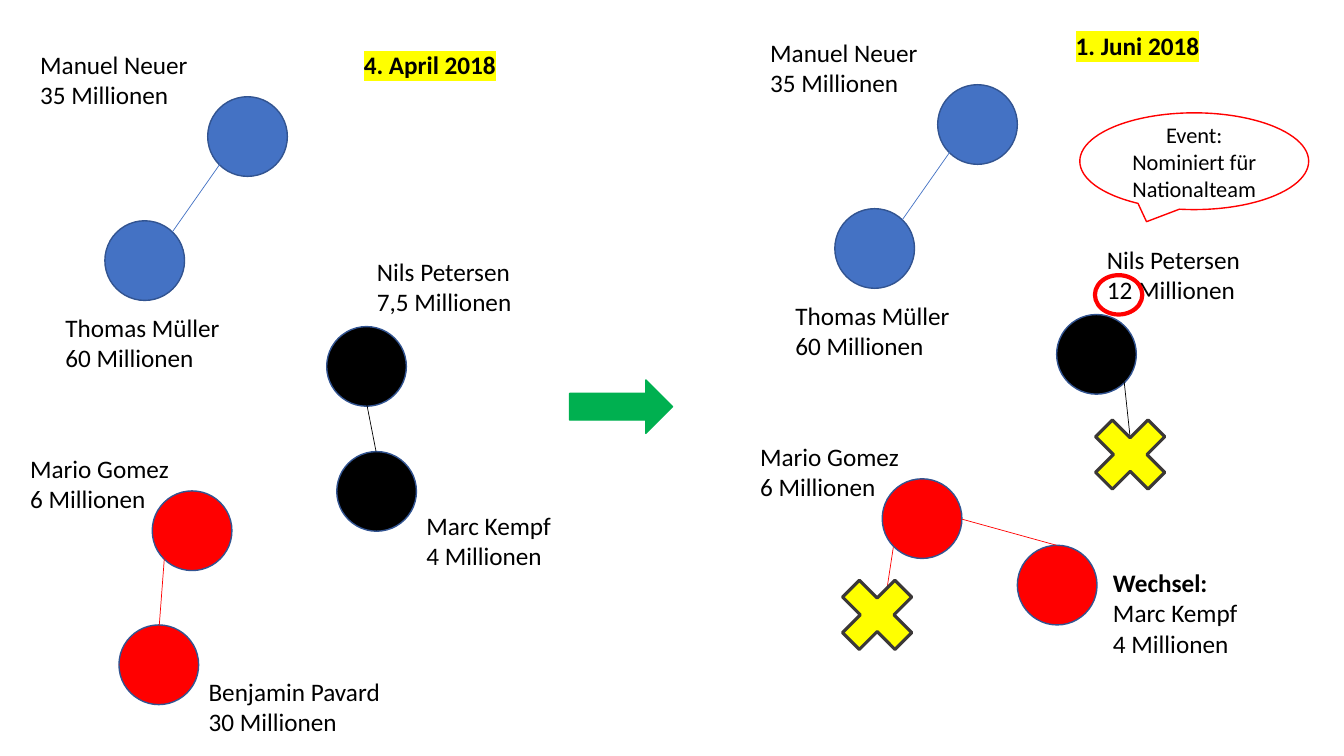
import pptx
import pptx.util
import pptx.dml.color
import pptx.enum.shapes
import pptx.enum.text
import lxml.etree
from dataclasses import dataclass

Inches = pptx.util.Inches
Shape = pptx.enum.shapes.MSO_SHAPE
DRAWING = "{http://schemas.openxmlformats.org/drawingml/2006/main}"


@dataclass(frozen=True)
class Theme:
    font: str = "Calibri"
    label_size: int = 18
    callout_size: int = 16
    blue: str = "4472C4"
    outline: str = "325491"
    red: str = "FF0000"
    black: str = "000000"
    yellow: str = "FFFF00"
    green: str = "00B050"
    gray: str = "3B3838"
    player: float = 0.79


def rgb(value):
    return pptx.dml.color.RGBColor.from_string(value)


def write(frame, lines, theme, size, bold_lines=0, highlight=None, align=None):
    for index, line in enumerate(lines):
        para = frame.paragraphs[0] if index == 0 else frame.add_paragraph()
        para.alignment = align
        span = para.add_run()
        span.text = line
        span.font.name = theme.font
        span.font.size = pptx.util.Pt(size)
        span.font.bold = index < bold_lines
        span.font.color.rgb = rgb(theme.black)
        if highlight:
            mark = lxml.etree.Element(DRAWING + "highlight")
            lxml.etree.SubElement(mark, DRAWING + "srgbClr", val=highlight)
            span.font._element.find(DRAWING + "solidFill").addnext(mark)


class Sketch:
    def __init__(self, page, theme):
        self.page = page
        self.theme = theme

    def shape(self, kind, left, top, width, height, fill, line, weight=1):
        box = self.page.shapes.add_shape(
            kind, Inches(left), Inches(top), Inches(width), Inches(height))
        box.shadow.inherit = False
        if fill:
            box.fill.solid()
            box.fill.fore_color.rgb = rgb(fill)
        else:
            box.fill.background()
        box.line.color.rgb = rgb(line)
        box.line.width = pptx.util.Pt(weight)
        return box

    def player(self, left, top, color):
        size = self.theme.player
        self.shape(Shape.FLOWCHART_CONNECTOR, left, top, size, size,
                   color, self.theme.outline)

    def cross(self, left, top):
        self.shape(Shape.MATH_MULTIPLY, left, top, 1, 1,
                   self.theme.yellow, self.theme.gray, 2.25)

    def link(self, x1, y1, x2, y2, color):
        line = self.page.shapes.add_connector(
            pptx.enum.shapes.MSO_CONNECTOR.STRAIGHT,
            Inches(x1), Inches(y1), Inches(x2), Inches(y2))
        line.line.color.rgb = rgb(color)
        line.line.width = pptx.util.Pt(0.5)
        lxml.etree.SubElement(line._element.spPr, DRAWING + "effectLst")

    def label(self, left, top, width, *lines, **style):
        height = 0.1 + 0.3 * len(lines)
        box = self.page.shapes.add_textbox(
            Inches(left), Inches(top), Inches(width), Inches(height))
        box.text_frame.word_wrap = False
        box.text_frame.auto_size = pptx.enum.text.MSO_AUTO_SIZE.SHAPE_TO_FIT_TEXT
        write(box.text_frame, lines, self.theme, self.theme.label_size, **style)

    def date(self, left, top, width, text):
        self.label(left, top, width, text, bold_lines=1, highlight=self.theme.yellow)

    def callout(self, left, top, width, height, text):
        box = self.shape(Shape.OVAL_CALLOUT, left, top, width, height,
                         None, self.theme.red)
        box.text_frame.word_wrap = True
        box.text_frame.vertical_anchor = pptx.enum.text.MSO_ANCHOR.MIDDLE
        write(box.text_frame, [text], self.theme, self.theme.callout_size,
              align=pptx.enum.text.PP_ALIGN.CENTER)

    def lasting_players(self, dx, dy, petersen_value):
        theme = self.theme
        for left, top, color in [
            (1.04, 2.19, theme.blue),
            (2.06, 0.96, theme.blue),
            (1.51, 4.87, theme.red),
            (3.24, 3.24, theme.black),
        ]:
            self.player(left + dx, top + dy, color)
        for left, top, width, name, value in [
            (3.64, 2.49, 1.55, "Nils Petersen", petersen_value),
            (0.2, 4.45, 1.59, "Mario Gomez", "6 Millionen"),
            (0.55, 3.05, 1.75, "Thomas Müller", "60 Millionen"),
            (0.3, 0.44, 1.68, "Manuel Neuer", "35 Millionen"),
        ]:
            self.label(left + dx, top + dy, width, name, value)
        self.link(1.71 + dx, 2.3 + dy, 2.18 + dx, 1.63 + dy, theme.blue)


def main():
    deck = pptx.Presentation()
    deck.slide_width = Inches(13.33)
    deck.slide_height = Inches(7.5)
    theme = Theme()
    sketch = Sketch(deck.slides.add_slide(deck.slide_layouts[6]), theme)

    sketch.lasting_players(0, 0, "7,5 Millionen")
    sketch.player(1.18, 6.2, theme.red)
    sketch.player(3.34, 4.48, theme.black)
    sketch.label(1.97, 6.66, 1.92, "Benjamin Pavard", "30 Millionen")
    sketch.label(4.13, 5.01, 1.49, "Marc Kempf", "4 Millionen")
    sketch.link(1.58, 6.2, 1.63, 5.54, theme.red)
    sketch.link(3.73, 4.48, 3.64, 4.02, theme.black)
    sketch.date(3.51, 0.44, 1.52, "4. April 2018")

    sketch.lasting_players(7.24, -0.12, "12 Millionen")
    sketch.player(10.09, 5.41, theme.red)
    sketch.label(10.94, 5.58, 1.45, "Wechsel:", "Marc Kempf", "4 Millionen",
                 bold_lines=1)
    sketch.link(8.77, 6.02, 8.86, 5.43, theme.red)
    sketch.link(10.48, 5.41, 9.54, 5.15, theme.red)
    sketch.link(11.21, 4.35, 11.15, 3.79, theme.black)
    sketch.shape(Shape.FLOWCHART_CONNECTOR, 10.86, 2.73, 0.47, 0.39,
                 None, theme.red, 3)
    sketch.cross(8.2, 5.6)
    sketch.cross(10.71, 4.01)
    sketch.date(10.57, 0.25, 1.44, "1. Juni 2018")
    sketch.callout(10.71, 1.12, 2.27, 0.96, "Event: Nominiert für Nationalteam")

    sketch.shape(Shape.RIGHT_ARROW, 5.65, 3.77, 1.02, 0.53,
                 theme.green, theme.green)
    deck.save("out.pptx")


if __name__ == "__main__":
    main()
